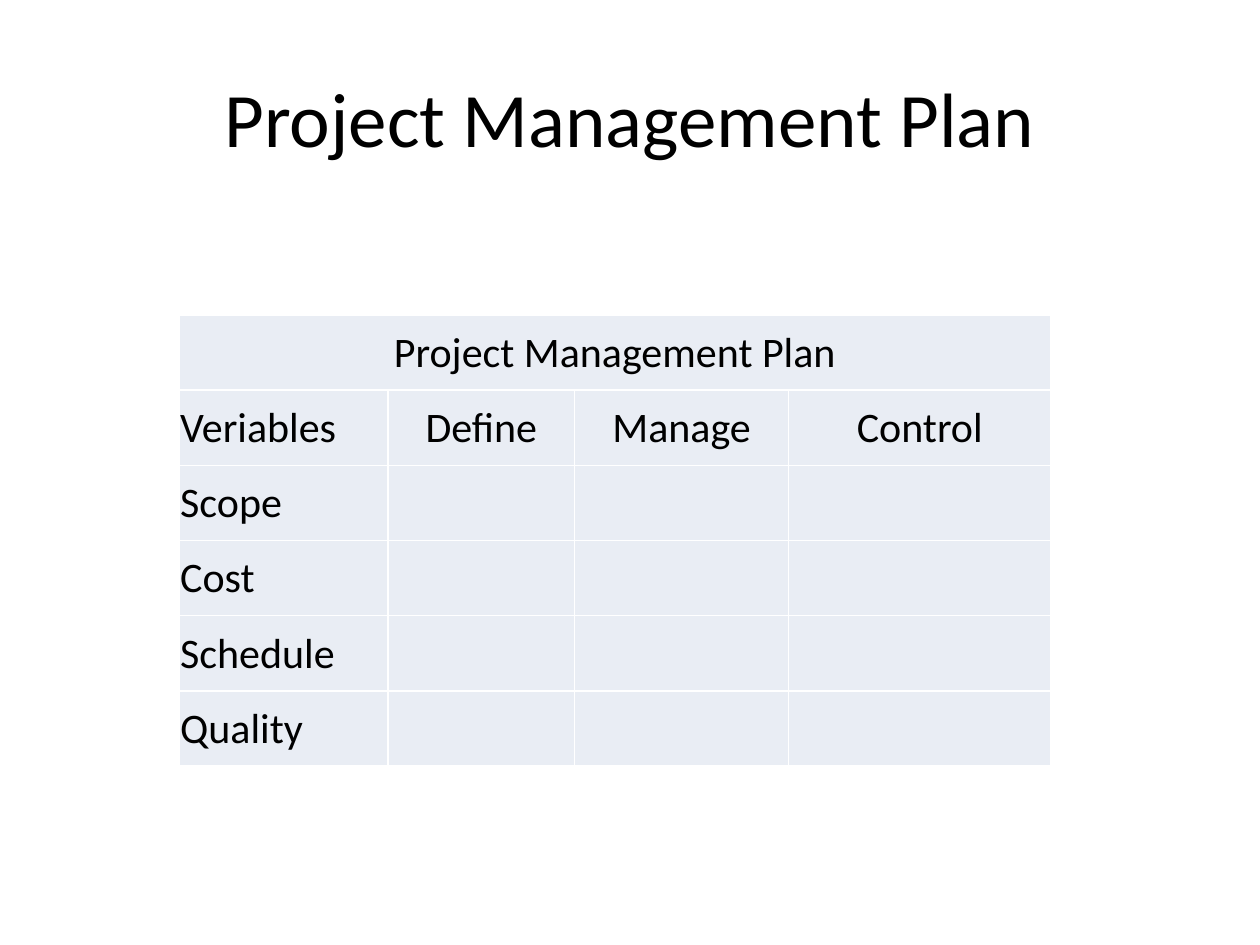
from lxml import etree
from pptx import Presentation
from pptx.dml.color import RGBColor
from pptx.enum.text import MSO_ANCHOR as Anchor, PP_ALIGN as Align
from pptx.oxml.ns import qn
from pptx.util import Inches, Pt

HEADS = ["Veriables", "Define", "Manage", "Control"]
ITEMS = ["Scope", "Cost", "Schedule", "Quality"]
WIDTHS = [1.66, 1.48, 1.70, 2.08]


def color(code):
    return RGBColor.from_string(code)


def write(frame, text, size=24, align=Align.CENTER, ink="000000"):
    para = frame.paragraphs[0]
    para.alignment = align
    run = para.add_run()
    run.text = text
    run.font.name = "Calibri"
    run.font.size = Pt(size)
    run.font.color.rgb = color(ink)


def border(cell, code="FFFFFF", width=1):
    props = cell._tc.get_or_add_tcPr()
    for spot, side in enumerate(("lnL", "lnR", "lnT", "lnB")):
        line = etree.Element(qn(f"a:{side}"), w=str(Pt(width)))
        fill = etree.SubElement(line, qn("a:solidFill"))
        etree.SubElement(fill, qn("a:srgbClr"), val=code)
        props.insert(spot, line)


def style(cell):
    cell.fill.solid()
    cell.fill.fore_color.rgb = color("E9EDF4")
    cell.vertical_anchor = Anchor.MIDDLE
    cell.margin_left = cell.margin_right = cell.margin_top = Inches(0.01)
    cell.margin_bottom = 0
    border(cell)


def add_title(slide, left, top, width, height):
    box = slide.shapes.add_textbox(
        Inches(left), Inches(top), Inches(width), Inches(height))
    frame = box.text_frame
    frame.word_wrap = True
    frame.vertical_anchor = Anchor.MIDDLE
    write(frame, "Project Management Plan", size=44)


def add_plan(slide, left, top, width, height):
    rows = 2 + len(ITEMS)
    table = slide.shapes.add_table(
        rows, len(HEADS), Inches(left), Inches(top),
        Inches(width), Inches(height)).table
    table.first_row = table.horz_banding = False
    for col, share in zip(table.columns, WIDTHS):
        col.width = Inches(width * share / sum(WIDTHS))
    for row in table.rows:
        row.height = Inches(height / rows)
    for cell in table.iter_cells():
        style(cell)

    table.cell(0, 0).merge(table.cell(0, len(HEADS) - 1))
    write(table.cell(0, 0).text_frame, "Project Management Plan")
    for col, text in enumerate(HEADS[1:], 1):
        write(table.cell(1, col).text_frame, text)
    for row, text in enumerate(HEADS[:1] + ITEMS, 1):
        write(table.cell(row, 0).text_frame, text, align=Align.LEFT)


def main():
    deck = Presentation()
    deck.slide_width, deck.slide_height = Inches(10), Inches(7.5)
    slide = deck.slides.add_slide(deck.slide_layouts[6])
    add_title(slide, 0.5, 0.3, 9, 1.25)
    add_plan(slide, 1.42, 2.5, 6.92, 3.58)
    deck.save("out.pptx")


if __name__ == "__main__":
    main()
